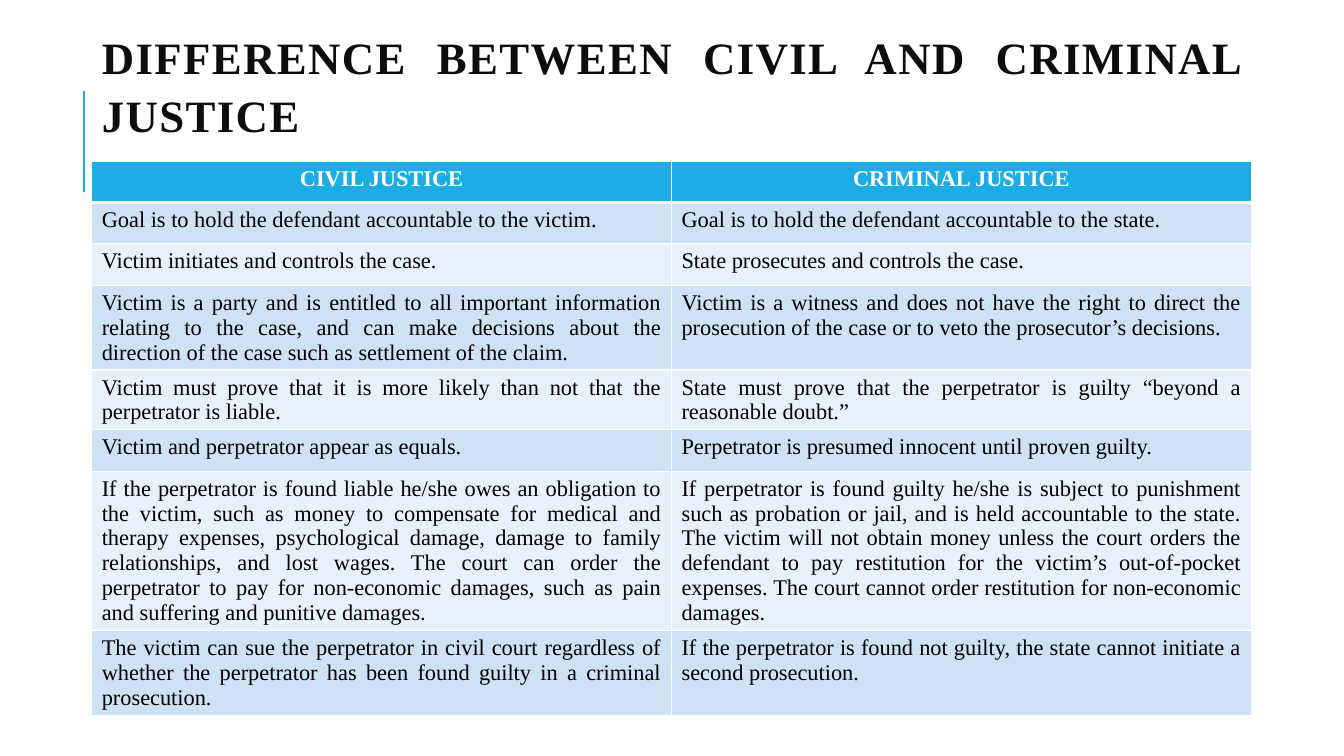
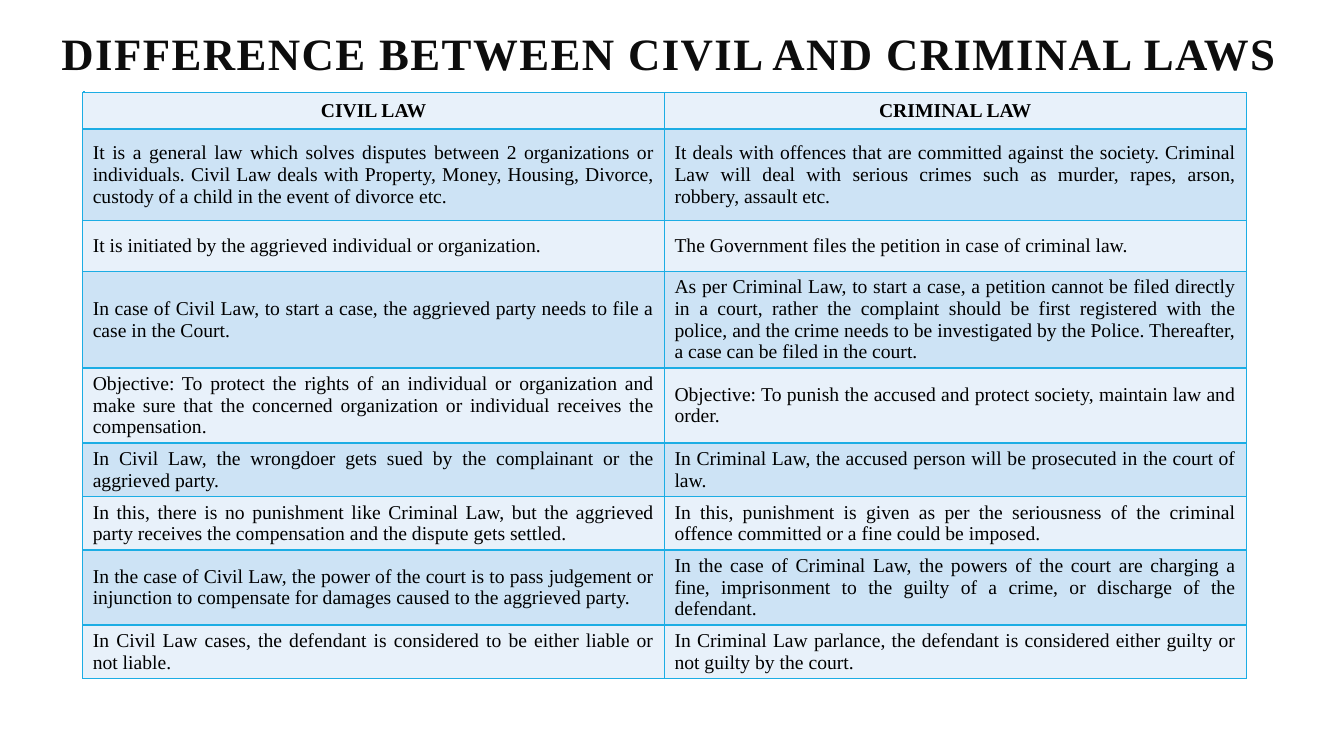
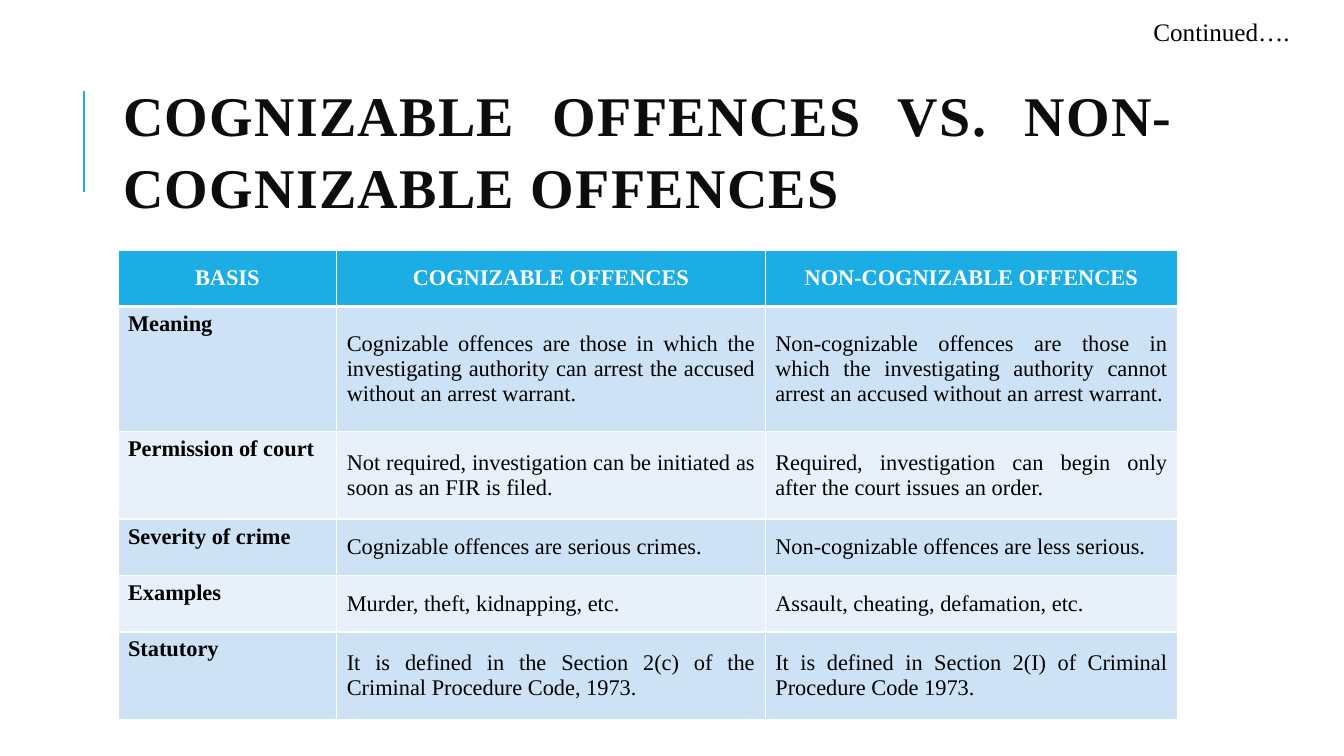
from lxml import etree
from pptx import Presentation
from pptx.dml.color import RGBColor
from pptx.enum.shapes import MSO_CONNECTOR as Connector
from pptx.enum.text import MSO_ANCHOR as Anchor, MSO_AUTO_SIZE as AutoSize, PP_ALIGN as Align
from pptx.oxml.ns import qn
from pptx.util import Pt

PX = 9144  # EMU per px, 100 px to the inch
FONT = "Times New Roman"
ACCENT = RGBColor(0x1C, 0xAD, 0xE4)
WHITE = RGBColor(0xFF, 0xFF, 0xFF)
BLACK = RGBColor(0x00, 0x00, 0x00)
TITLE_INK = RGBColor(0x0D, 0x0D, 0x0D)
BANDS = (RGBColor(0xE8, 0xF1, 0xFA), RGBColor(0xCD, 0xE3, 0xF5))

JUSTICE = [
    ("CIVIL JUSTICE", "CRIMINAL JUSTICE"),
    ("Goal is to hold the defendant accountable to the victim.",
     "Goal is to hold the defendant accountable to the state."),
    ("Victim initiates and controls the case.",
     "State prosecutes and controls the case."),
    ("Victim is a party and is entitled to all important information relating to the case, "
     "and can make decisions about the direction of the case such as settlement of the claim.",
     "Victim is a witness and does not have the right to direct the prosecution of the case "
     "or to veto the prosecutor’s decisions."),
    ("Victim must prove that it is more likely than not that the perpetrator is liable.",
     "State must prove that the perpetrator is guilty “beyond a reasonable doubt.”"),
    ("Victim and perpetrator appear as equals.",
     "Perpetrator is presumed innocent until proven guilty."),
    ("If the perpetrator is found liable he/she owes an obligation to the victim, such as money "
     "to compensate for medical and therapy expenses, psychological damage, damage to family "
     "relationships, and lost wages. The court can order the perpetrator to pay for non-economic "
     "damages, such as pain and suffering and punitive damages.",
     "If perpetrator is found guilty he/she is subject to punishment such as probation or jail, "
     "and is held accountable to the state. The victim will not obtain money unless the court "
     "orders the defendant to pay restitution for the victim’s out-of-pocket expenses. "
     "The court cannot order restitution for non-economic damages."),
    ("The victim can sue the perpetrator in civil court regardless of whether the perpetrator "
     "has been found guilty in a criminal prosecution.",
     "If the perpetrator is found not guilty, the state cannot initiate a second prosecution."),
]

LAWS = [
    ("CIVIL LAW", "CRIMINAL LAW"),
    ("It is a general law which solves disputes between 2 organizations or individuals. Civil Law "
     "deals with Property, Money, Housing, Divorce, custody of a child in the event of divorce etc.",
     "It deals with offences that are committed against the society. Criminal Law will deal with "
     "serious crimes such as murder, rapes, arson, robbery, assault etc."),
    ("It is initiated by the aggrieved individual or organization.",
     "The Government files the petition in case of criminal law."),
    ("In case of Civil Law, to start a case, the aggrieved party needs to file a case in the Court.",
     "As per Criminal Law, to start a case, a petition cannot be filed directly in a court, rather "
     "the complaint should be first registered with the police, and the crime needs to be "
     "investigated by the Police. Thereafter, a case can be filed in the court."),
    ("Objective: To protect the rights of an individual or organization and make sure that the "
     "concerned organization or individual receives the compensation.",
     "Objective: To punish the accused and protect society, maintain law and order."),
    ("In Civil Law, the wrongdoer gets sued by the complainant or the aggrieved party.",
     "In Criminal Law, the accused person will be prosecuted in the court of law."),
    ("In this, there is no punishment like Criminal Law, but the aggrieved party receives the "
     "compensation and the dispute gets settled.",
     "In this, punishment is given as per the seriousness of the criminal offence committed "
     "or a fine could be imposed."),
    ("In the case of Civil Law, the power of the court is to pass judgement or injunction to "
     "compensate for damages caused to the aggrieved party.",
     "In the case of Criminal Law, the powers of the court are charging a fine, imprisonment to "
     "the guilty of a crime, or discharge of the defendant."),
    ("In Civil Law cases, the defendant is considered to be either liable or not liable.",
     "In Criminal Law parlance, the defendant is considered either guilty or not guilty by the court."),
]

OFFENCES = [
    ("BASIS", "COGNIZABLE OFFENCES", "NON-COGNIZABLE OFFENCES"),
    ("Meaning",
     "Cognizable offences are those in which the investigating authority can arrest the accused "
     "without an arrest warrant.",
     "Non-cognizable offences are those in which the investigating authority cannot arrest an "
     "accused without an arrest warrant."),
    ("Permission of court",
     "Not required, investigation can be initiated as soon as an FIR is filed.",
     "Required, investigation can begin only after the court issues an order."),
    ("Severity of crime", "Cognizable offences are serious crimes.",
     "Non-cognizable offences are less serious."),
    ("Examples", "Murder, theft, kidnapping, etc.", "Assault, cheating, defamation, etc."),
    ("Statutory",
     "It is defined in the Section 2(c) of the Criminal Procedure Code, 1973.",
     "It is defined in Section 2(I) of Criminal Procedure Code 1973."),
]


def px(*lengths):
    return [length * PX for length in lengths]


def set_borders(cell, color, **widths):
    """Draw the cell's edges; widths in points are keyed L, R, T, B."""
    props = cell._tc.get_or_add_tcPr()
    for position, (side, width) in enumerate(widths.items()):
        edge = etree.Element(qn(f"a:ln{side}"), w=str(Pt(width)))
        fill = etree.SubElement(edge, qn("a:solidFill"))
        etree.SubElement(fill, qn("a:srgbClr"), val=str(color))
        props.insert(position, edge)


class Deck:
    def __init__(self):
        self.prs = Presentation()
        self.prs.slide_width, self.prs.slide_height = px(1333, 750)
        self.layout = self.prs.slide_layouts[5]
        self.slide = None

    def add_slide(self, title, box, size):
        first = self.slide is None
        self.slide = self.prs.slides.add_slide(self.layout)
        if first:
            self.share_accent_line()
        heading = self.slide.shapes.title
        heading.left, heading.top, heading.width, heading.height = px(*box)
        frame = heading.text_frame
        frame.word_wrap = True
        frame.auto_size = AutoSize.NONE
        frame.vertical_anchor = Anchor.MIDDLE
        frame.paragraphs[0].line_spacing = 1.08
        run = self.add_text(frame, title, size, TITLE_INK, True, Align.JUSTIFY)
        run._r.get_or_add_rPr().set("spc", "100")

    def share_accent_line(self):
        """Draw the accent line and move it to the layout, so every slide shows it."""
        line = self.slide.shapes.add_connector(Connector.STRAIGHT, *px(83, 190, 83, 90))
        line.line.color.rgb = ACCENT
        line.line.width = Pt(1.5)
        etree.SubElement(line._element.spPr, qn("a:effectLst"))
        self.layout.shapes._spTree.append(line._element)

    def add_text(self, frame, text, size, color, bold=False, align=Align.LEFT):
        paragraph = frame.paragraphs[0]
        paragraph.alignment = align
        run = paragraph.add_run()
        run.text = text
        font = run.font
        font.name, font.size, font.bold = FONT, Pt(size), bold
        font.color.rgb = color
        return run

    def add_note(self, text, box):
        frame = self.slide.shapes.add_textbox(*px(*box)).text_frame
        frame.word_wrap = True
        frame.auto_size = AutoSize.SHAPE_TO_FIT_TEXT
        self.add_text(frame, text, 18, BLACK)

    def add_table(self, rows, corner, widths, heights, size=16, solid_header=True,
                  anchor=Anchor.MIDDLE, row_labels=False):
        box = px(*corner, sum(widths), sum(heights))
        table = self.slide.shapes.add_table(len(rows), len(widths), *box).table
        table.horz_banding = False
        for column, width in zip(table.columns, widths):
            column.width = width * PX
        for row, height in zip(table.rows, heights):
            row.height = height * PX
        for r, texts in enumerate(rows):
            for c, text in enumerate(texts):
                cell = table.cell(r, c)
                header = r == 0
                accented = header and solid_header
                label = row_labels and c == 0 and not header
                cell.fill.solid()
                cell.fill.fore_color.rgb = ACCENT if accented else BANDS[r % 2]
                cell.vertical_anchor = Anchor.TOP if label else anchor
                self.add_text(cell.text_frame, text, size, WHITE if accented else BLACK,
                              header or label, Align.CENTER if header else Align.JUSTIFY)
                set_borders(cell, WHITE if solid_header else ACCENT, L=1, R=1,
                            T=3 if solid_header and r == 1 else 1, B=3 if accented else 1)


def main():
    deck = Deck()

    deck.add_slide("DIFFERENCE BETWEEN CIVIL AND CRIMINAL JUSTICE", (91, 15, 1151, 135), 32)
    deck.add_table(JUSTICE, (91, 160), [575] * 2, [41] * 8, anchor=Anchor.TOP)

    deck.add_slide("DIFFERENCE BETWEEN CIVIL AND CRIMINAL LAWS", (51, 8, 1232, 84), 32)
    deck.add_table(LAWS, (82, 92), [577] * 2, [36, 91, 50, 91, 71] + [50] * 4,
                   size=14, solid_header=False)

    deck.add_slide("COGNIZABLE OFFENCES VS. NON-COGNIZABLE OFFENCES", (112, 64, 1063, 164), 40)
    deck.add_table(OFFENCES, (117, 248), [217, 425, 409], [56, 124, 87, 56, 56, 87],
                   row_labels=True)
    deck.add_note("Continued….", (1134, 11, 179, 40))

    deck.prs.save("out.pptx")


if __name__ == "__main__":
    main()
